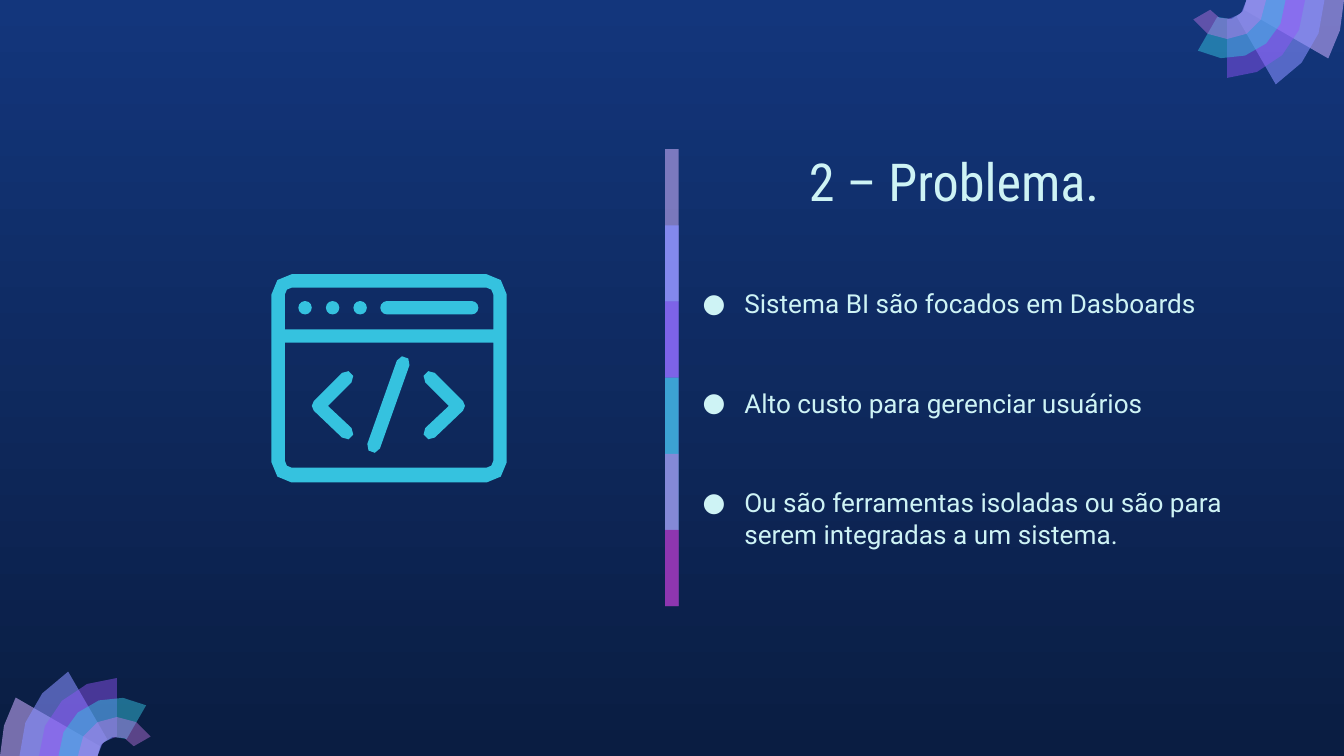
"""Build the problem slide: code window, colour bar, bullets and corner fans."""
from math import ceil, cos, radians, sin, sqrt

from lxml import etree
from pptx import Presentation
from pptx.dml.color import RGBColor
from pptx.enum.shapes import MSO_SHAPE
from pptx.enum.text import MSO_ANCHOR
from pptx.oxml.ns import qn
from pptx.util import Inches, Pt

RECT, ROUND, OVAL = MSO_SHAPE.RECTANGLE, MSO_SHAPE.ROUNDED_RECTANGLE, MSO_SHAPE.OVAL
BOTTOM = MSO_ANCHOR.BOTTOM
THEME = dict(top="13367C", base="0A1D42", text="CEF3F5", icon="35C2DF",
             head=("Roboto Condensed", 28), body=("Roboto", 14))


def paint(shape, color, alpha=100):
    shape.shadow.inherit = False
    shape.line.fill.background()
    shape.fill.solid()
    shape.fill.fore_color.rgb = RGBColor.from_string(color)
    if alpha < 100:
        tint = shape.fill._xPr.find(".//" + qn("a:srgbClr"))
        etree.SubElement(tint, qn("a:alpha")).set("val", str(alpha * 1000))


def outline(loops, color, alpha=100):
    """Fill closed loops, each a list of arcs (x, y, radius, start, end)."""
    form = None
    for loop in loops:
        dots = []
        for x, y, r, a, b in loop:
            count = ceil(abs(b - a) * sqrt(r) / 18)
            for i in range(count + 1):
                turn = radians(a + (b - a) * i / max(count, 1))
                dots.append((Inches(x + r * cos(turn)), Inches(y + r * sin(turn))))
        if form is None:
            form = shapes.build_freeform(*dots[0], scale=1.0)
        else:
            form.move_to(*dots[0])
        form.add_line_segments(dots[1:], close=True)
    paint(form.convert_to_shape(), color, alpha)


prs = Presentation()
prs.slide_width, prs.slide_height = Inches(10), Inches(5.625)
slide = prs.slides.add_slide(prs.slide_layouts[6])
shapes = slide.shapes
back = slide.background.fill
back.gradient()
back.gradient_angle = 270
for stop, key in zip(back.gradient_stops, ("top", "base")):
    stop.color.rgb = RGBColor.from_string(THEME[key])

bands = [("C8AEF8", 58), ("878FFF", 74), ("9154F8", 53),
         ("35C2DF", 76), ("CA7BEB", 56), ("972CB4", 74)]
step = 3.4 / len(bands)
for i, (color, alpha) in enumerate(bands):
    tall = step * min(2, len(bands) - i)
    band = shapes.add_shape(RECT, Inches(4.95), Inches(1.11 + i * step),
                            Inches(0.1), Inches(tall))
    paint(band, color, alpha)

items = ["Sistema BI são focados em Dasboards", "Alto custo para gerenciar usuários",
         "Ou são ferramentas isoladas ou são para serem integradas a um sistema."]
texts = [((5.92, 0.62, 2.59, 1.06), "head", ["2 – Problema."]),
         ((5.13, 2.04, 4.43, 1.97), "body", items)]
for spot, role, lines in texts:
    frame = shapes.add_textbox(*map(Inches, spot)).text_frame
    frame.word_wrap = True
    frame.margin_left = frame.margin_right = Inches(0.1)
    frame.margin_top = frame.margin_bottom = Inches(0.1)
    if role == "head":
        frame.vertical_anchor = BOTTOM
    for i, line in enumerate(lines):
        para = frame.add_paragraph() if i else frame.paragraphs[0]
        para.text = line
        name, size = THEME[role]
        para.font.name, para.font.size = name, Pt(size)
        para.font.color.rgb = RGBColor.from_string(THEME["text"])
        if role == "body":
            para.space_before = Pt(36.5 if i else 0)
            props = para._p.get_or_add_pPr()
            props.set("marL", str(Inches(0.31)))
            props.set("indent", str(Inches(-0.31)))
            tint = etree.Element(qn("a:buClr"))
            etree.SubElement(tint, qn("a:srgbClr"), val=THEME["text"])
            face = etree.Element(qn("a:buFont"), typeface=name)
            mark = etree.Element(qn("a:buChar"), char="●")
            for part in (tint, face, mark):
                props.insert_element_before(part, "a:tabLst", "a:defRPr", "a:extLst")

ink = THEME["icon"]
frames = [(2.02, 2.04, 3.77, 3.59, 0.15, 0.15), (2.12, 2.14, 3.67, 2.45, 0.05, 0),
          (2.12, 2.55, 3.67, 3.48, 0, 0.05)]
outline([[(x + r, y + r, r, 180, 270), (u - r, y + r, r, 270, 360),
          (u - s, v - s, s, 0, 90), (x + s, v - s, s, 90, 180)]
         for x, y, u, v, r, s in frames], ink)
for i in range(3):
    dot = shapes.add_shape(OVAL, Inches(2.22 + i * 0.205), Inches(2.24),
                           Inches(0.1), Inches(0.1))
    paint(dot, ink)
bar = shapes.add_shape(ROUND, Inches(2.83), Inches(2.24), Inches(0.73), Inches(0.1))
bar.adjustments[0] = 0.5
paint(bar, ink)
angle = [(2.44, 3.02, 0, 0, 0), (2.58, 2.81, 0.05, 45, -135),
         (2.37, 3.02, 0.05, -135, -225), (2.58, 3.22, 0.05, 135, -45)]
outline([[(5.78 - x, y, r, 180 - a, 180 - b) for x, y, r, a, b in angle]], ink)
outline([angle], ink)
outline([[(3, 2.7, 0.05, -160, 20), (2.78, 3.32, 0.05, 20, 200)]], ink)

rays = [("C8ACFD", 57), ("878FFF", 58), ("9154F8", 46), ("35C2DF", 49), ("CA7BEB", 42)]
ring = 0.145
for x, y, start in [(0.87, 5.625, 180), (9.13, 0, 0)]:
    for i, (color, alpha) in enumerate(rays):
        end = start + 30 * (i + 1)
        outline([[(x, y, ring * (6 - i), start, end), (x, y, ring, end, start)]],
                color, alpha)

prs.save("out.pptx")
